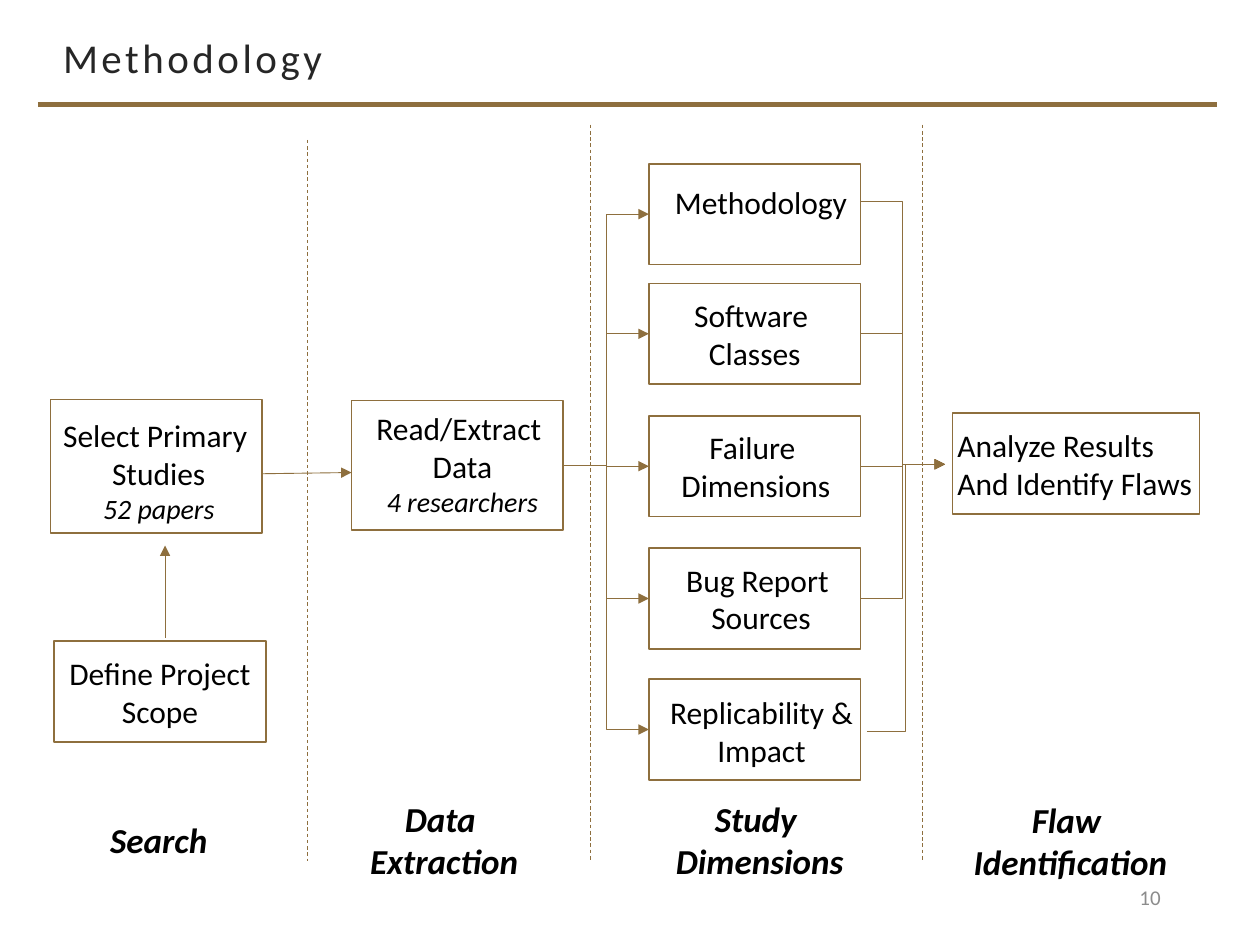
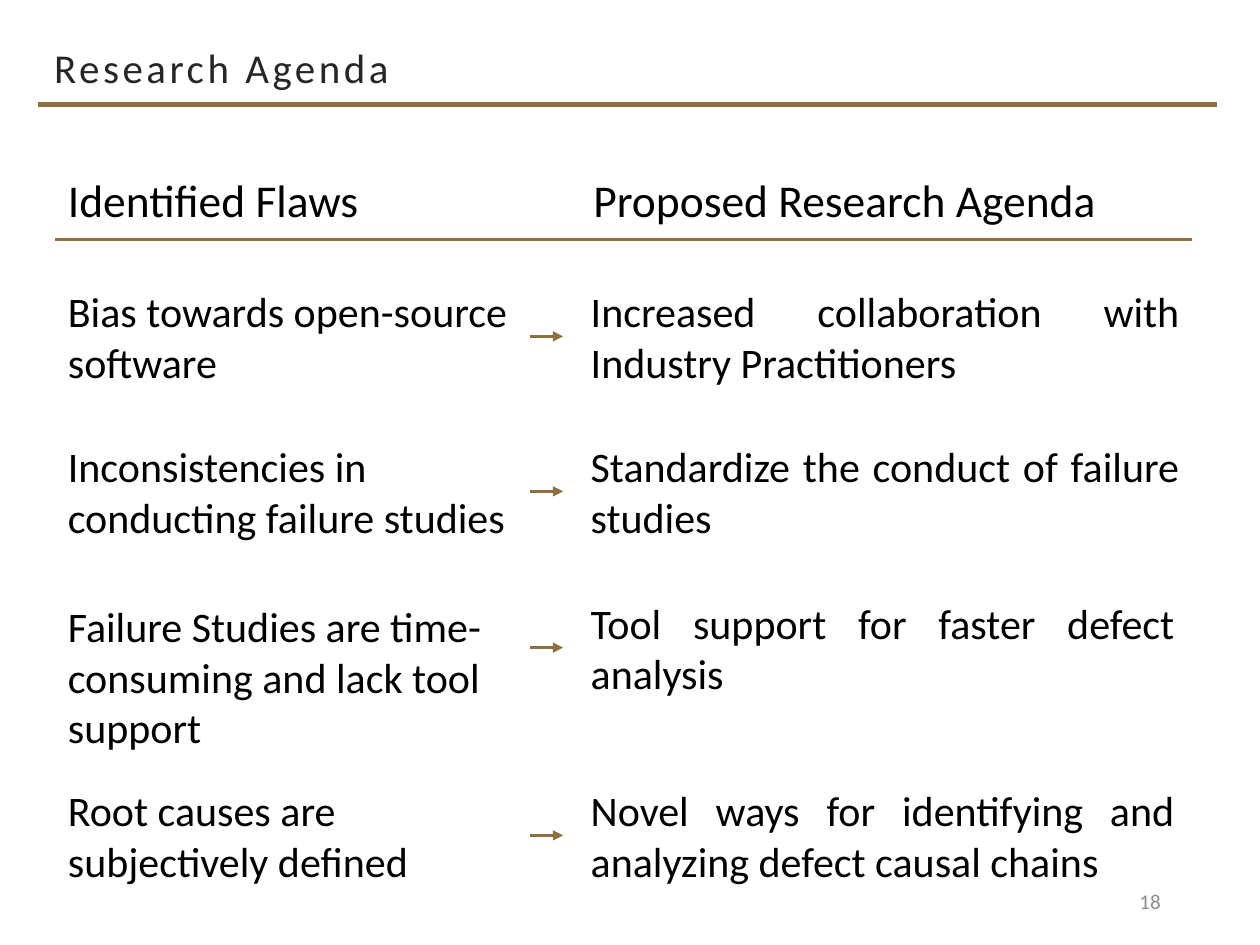
import pptx
import pptx.util
import pptx.dml.color
import pptx.enum.dml
import pptx.enum.shapes
import pptx.enum.text
import pptx.oxml
import pptx.oxml.ns
from lxml import etree
from pptx.util import Inches

COLOURS = {"gold": "8E6F3E", "title": "262626", "text": "000000", "number": "8C8C8C"}
FONT = "Calibri"
TITLE_ONLY = 5
ALIGN = pptx.enum.text.PP_ALIGN
ANCHOR = pptx.enum.text.MSO_ANCHOR
CONNECTOR = pptx.enum.shapes.MSO_CONNECTOR
TOP, LEFT, BOTTOM, RIGHT = range(4)


def colour(name):
    return pptx.dml.color.RGBColor.from_string(COLOURS[name])


class SlideBuilder:
    """Holds the shared style and the slide being built."""

    def __init__(self):
        self.deck = pptx.Presentation()
        self.deck.slide_width = Inches(10)
        self.deck.slide_height = Inches(7.5)
        self.page = None

    def style(self, para, size, name="text", align=ALIGN.LEFT, bold=False, italic=False):
        para.alignment = align
        font = para.font
        font.name, font.size = FONT, pptx.util.Pt(size)
        font.bold, font.italic = bold, italic
        font.color.rgb = colour(name)

    def start(self, title, left, top, number, number_top):
        """Add a page with its title, gold rule and page number."""
        self.page = self.deck.slides.add_slide(self.deck.slide_layouts[TITLE_ONLY])
        self.line((0.3, 0.83), (9.66, 0.83), 3)

        box = self.page.shapes.title
        box.left, box.top = Inches(left), Inches(top)
        box.width, box.height = Inches(8.8), Inches(0.7)
        frame = box.text_frame
        frame.text = title
        frame.vertical_anchor = ANCHOR.MIDDLE
        frame.margin_left = frame.margin_right = Inches(0.2)
        frame.margin_top = frame.margin_bottom = Inches(0.2)
        para = frame.paragraphs[0]
        para.line_spacing = 0.9
        self.style(para, 23.4, "title")
        para.runs[0]._r.get_or_add_rPr().set("spc", "200")

        number_box = self.text((7.06, number_top, 2.25, 0.4), [number], 12,
                               ALIGN.RIGHT, name="number", grow=False)
        number_box.text_frame.vertical_anchor = ANCHOR.MIDDLE

    def text(self, place, lines, size, align=ALIGN.LEFT, wrap=True, grow=True,
             name="text", bold=False, italic=False, note=None, tab=None):
        """Add a text box; note is a smaller italic last line."""
        box = self.page.shapes.add_textbox(*map(Inches, place))
        frame = box.text_frame
        frame.word_wrap = wrap
        if grow:
            frame.auto_size = pptx.enum.text.MSO_AUTO_SIZE.SHAPE_TO_FIT_TEXT
        frame.text = "\n".join(lines + ([note] if note else []))
        for para in frame.paragraphs:
            if tab:
                stops = etree.SubElement(para._p.get_or_add_pPr(), pptx.oxml.ns.qn("a:tabLst"))
                etree.SubElement(stops, pptx.oxml.ns.qn("a:tab"),
                                 pos=str(Inches(tab)), algn="l")
            self.style(para, size, name, align, bold, italic)
        if note:
            self.style(frame.paragraphs[-1], 16, name, align, italic=True)
        return box

    def rectangle(self, place):
        box = self.page.shapes.add_shape(
            pptx.enum.shapes.MSO_SHAPE.RECTANGLE, *map(Inches, place))
        box.shadow.inherit = False
        box.fill.background()
        box.line.color.rgb = colour("gold")
        box.line.width = pptx.util.Pt(1)
        return box

    def line(self, start, end, width=0.5, arrow=False, dashed=False,
             kind=CONNECTOR.STRAIGHT):
        link = self.page.shapes.add_connector(kind, *map(Inches, (*start, *end)))
        link.line.color.rgb = colour("gold")
        link.line.width = pptx.util.Pt(width)
        if dashed:
            link.line.dash_style = pptx.enum.dml.MSO_LINE.DASH
        if arrow:
            etree.SubElement(link.line._get_or_add_ln(),
                             pptx.oxml.ns.qn("a:tailEnd"), type="triangle")
        etree.SubElement(link._element.spPr, pptx.oxml.ns.qn("a:effectLst"))
        return link

    def elbow(self, source, target):
        """Join the right side of source to the left side of target."""
        link = self.line((0, 0), (1, 1), arrow=True, kind=CONNECTOR.ELBOW)
        link.begin_connect(source, RIGHT)
        link.end_connect(target, LEFT)


def build_methodology(builder):
    builder.start("Methodology", 0.3, 0.13, "10", 6.92)

    # Column dividers and stage names
    for x, top in ((2.44, 1.11), (4.69, 0.99), (7.32, 0.99)):
        builder.line((x, top), (x, 6.83), dashed=True)
    stages = [
        ((0.77, 6.45, 0.98, 0.44), ["Search"]),
        ((2.83, 6.28, 1.39, 0.77), ["Data ", "Extraction"]),
        ((5.26, 6.28, 1.54, 0.77), ["Study ", "Dimensions"]),
        ((7.62, 6.29, 1.75, 0.77), ["Flaw ", "Identification"]),
    ]
    for place, lines in stages:
        builder.text(place, lines, 20, ALIGN.CENTER, wrap=False, bold=True, italic=True)

    # Search and extraction steps
    builder.rectangle((0.43, 5.09, 1.68, 0.8))
    builder.text((0.43, 5.14, 1.68, 0.71), ["Define Project ", "Scope"], 18, ALIGN.CENTER)
    builder.rectangle((0.4, 3.17, 1.68, 1.06))
    builder.text((0.39, 3.25, 1.74, 1.01), ["Select Primary ", "Studies"], 18,
                 ALIGN.CENTER, wrap=False, note="52 papers")
    extract = builder.rectangle((2.79, 3.18, 1.68, 1.03))
    builder.text((2.88, 3.2, 1.58, 1.01), ["Read/Extract ", "Data"], 18,
                 ALIGN.CENTER, wrap=False, note="4 researchers")
    builder.line((1.31, 5.06), (1.31, 4.33), arrow=True)
    builder.line((2.08, 3.76), (2.79, 3.75), arrow=True)

    # Final step
    builder.rectangle((7.56, 3.28, 1.96, 0.8))
    analyze = builder.text((7.5, 3.33, 2.09, 0.71),
                           ["Analyze Results", "And Identify Flaws"], 18, wrap=False)

    # Study dimensions: box top, label place, label lines, link leaves from the label
    dimensions = [
        (1.3, (5.25, 1.4, 1.58, 0.4), ["Methodology"], True),
        (2.25, (5.4, 2.3, 1.18, 0.71), ["Software ", "Classes"], False),
        (3.3, (5.3, 3.35, 1.4, 0.71), ["Failure ", "Dimensions"], False),
        (4.35, (5.34, 4.4, 1.4, 0.71), ["Bug Report ", "Sources"], False),
        (5.39, (5.21, 5.45, 1.67, 0.71), ["Replicability &", "Impact"], True),
    ]
    for top, place, lines, from_label in dimensions:
        box = builder.rectangle((5.15, top, 1.68, 0.8))
        label = builder.text(place, lines, 18, ALIGN.CENTER, wrap=False)
        builder.elbow(extract, box)
        builder.elbow(label if from_label else box, analyze)


def build_agenda(builder):
    builder.start("Research Agenda", 0.23, 0.21, "18", 6.95)

    # Column headings
    builder.text((0.44, 1.32, 9.01, 0.54),
                 ["Identified Flaws\tProposed Research Agenda"], 26, tab=4.17)
    builder.line((0.44, 1.9), (9.46, 1.9), 1.5)

    # Each flaw points to its agenda item
    rows = [
        (2.22, 0.91, "Bias towards open-source software",
         2.22, 4.87, "Increased collaboration with Industry Practitioners"),
        (3.45, 0.91, "Inconsistencies in conducting failure studies",
         3.45, 4.87, "Standardize the conduct of failure studies"),
        (4.72, 1.31, "Failure Studies are time-consuming and lack tool support",
         4.69, 4.83, "Tool support for faster defect analysis"),
        (6.18, 0.91, "Root causes are subjectively defined",
         6.18, 4.83, "Novel ways for identifying and analyzing defect causal chains"),
    ]
    for flaw_top, flaw_height, flaw, item_top, item_width, item in rows:
        builder.text((0.44, flaw_top, 3.88, flaw_height), [flaw], 24)
        builder.text((4.59, item_top, item_width, 0.91), [item], 24, ALIGN.JUSTIFY)
        middle = item_top + 0.45
        builder.line((4.21, middle), (4.47, middle), 1.5, arrow=True)


def main():
    builder = SlideBuilder()
    build_methodology(builder)
    build_agenda(builder)
    builder.deck.save("out.pptx")


if __name__ == "__main__":
    main()
